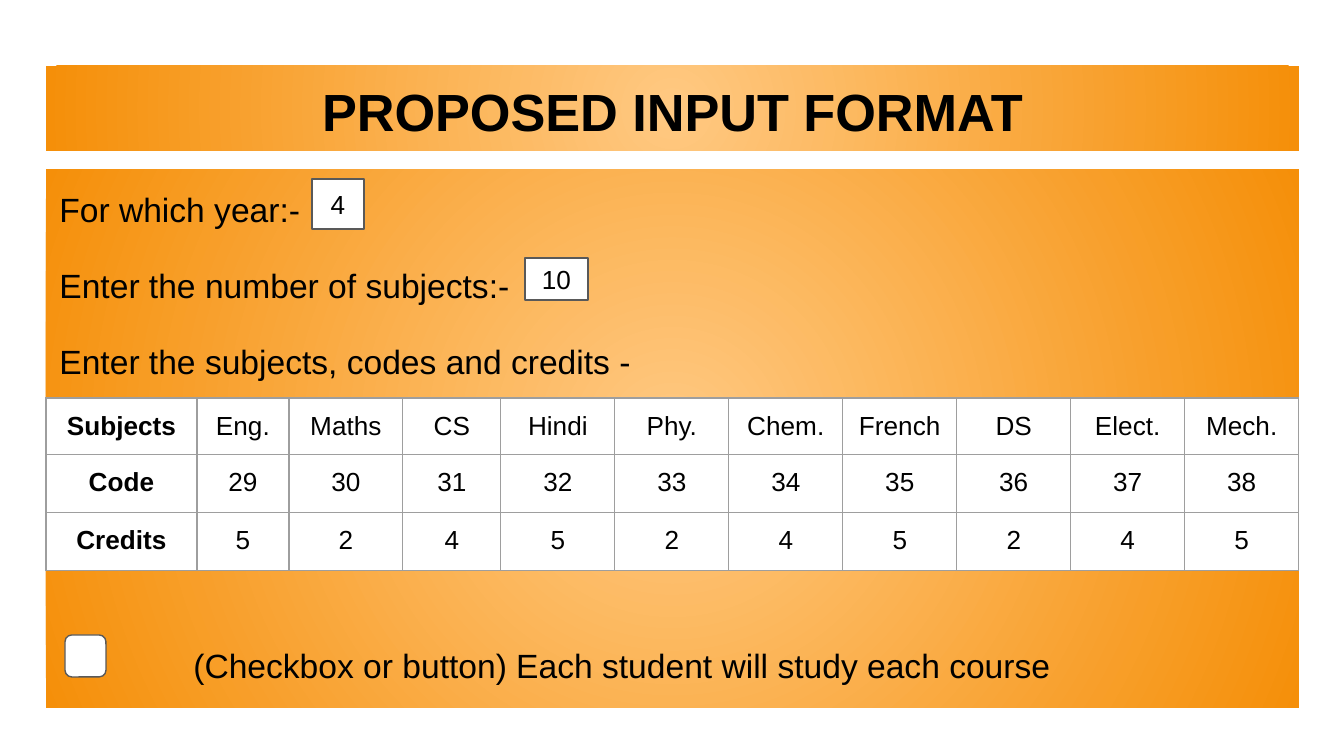
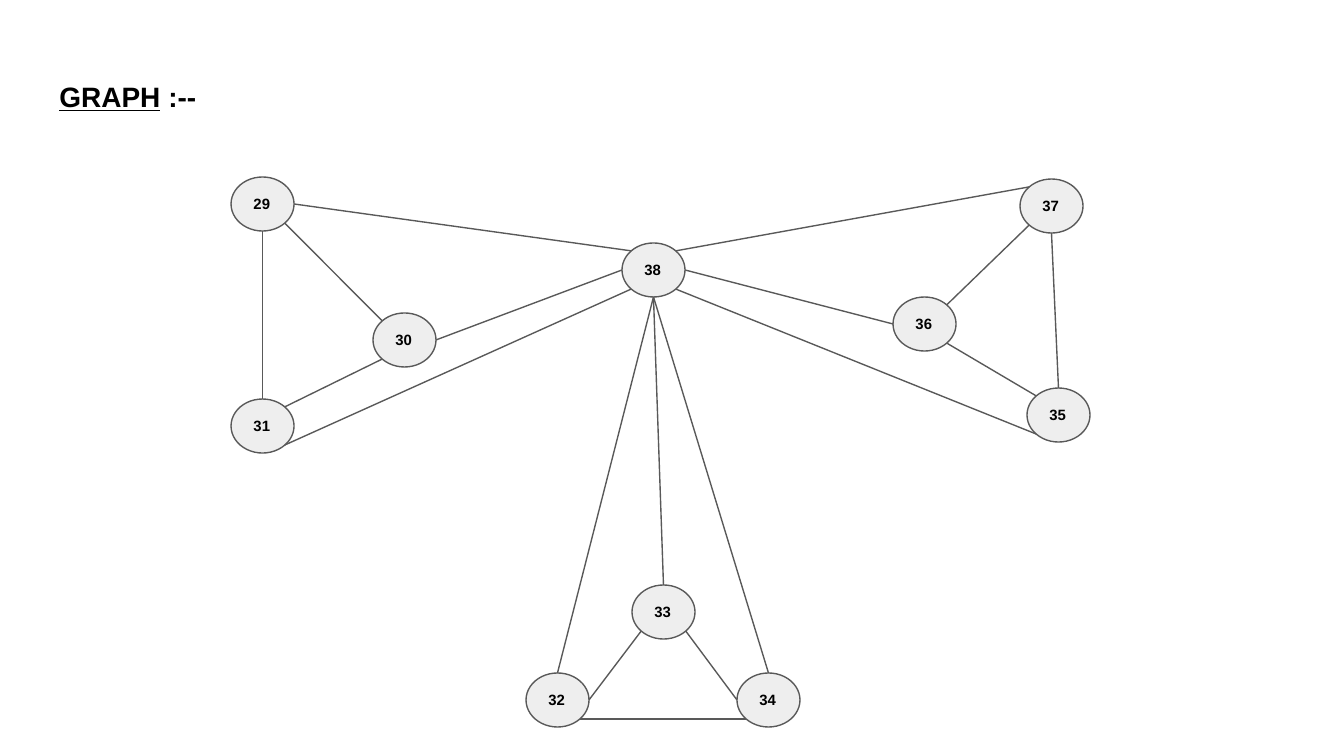
import pptx
import pptx.util
import pptx.dml.color
import pptx.enum.dml
import pptx.enum.shapes
import pptx.enum.text
import pptx.oxml
import pptx.oxml.ns
import math

# Content
FORM = {
    "title": "PROPOSED INPUT FORMAT",
    # text, space before (pt), left indent (px)
    "lines": [
        ("For which year:-", 0, 0),
        ("Enter the number of subjects:-", 16, 0),
        ("Enter the subjects, codes and credits -", 16, 0),
        ("(Checkbox or button) Each student will study each course", 138, 134),
    ],
    "inputs": [("4", (312, 179, 52, 50)), ("10", (525, 258, 63, 42))],
    "check": (65, 635, 41, 42),
}
ROWS = [
    ["Subjects", "Eng.", "Maths", "CS", "Hindi", "Phy.", "Chem.", "French",
     "DS", "Elect.", "Mech."],
    ["Code"] + [str(code) for code in range(29, 39)],
    ["Credits", "5", "2", "4", "5", "2", "4", "5", "2", "4", "5"],
]
COLS = [151, 92, 114, 98] + [114] * 7
HIGHS = [56, 58, 58]

GRAPH = [("GRAPH", True), (" :--", False)]
NODES = {
    "38": (622, 243), "37": (1020, 179), "29": (231, 177), "30": (373, 313),
    "36": (893, 297), "31": (231, 399), "35": (1027, 388), "33": (632, 585),
    "34": (737, 673), "32": (526, 673),
}
# Each edge: node, side, node, side
EDGES = [
    "29 se 30 nw", "30 sw 31 ne", "29 s 31 n", "38 s 33 n", "37 sw 36 ne",
    "37 s 35 n", "36 se 35 nw", "33 se 34 w", "33 sw 32 e", "32 se 34 sw",
    "38 s 34 n", "38 s 32 n", "38 se 35 sw", "38 ne 37 nw", "38 e 36 w",
    "29 e 38 nw", "30 e 38 w", "38 sw 31 se",
]

# Shared look
HUES = {"ink": "000000", "paper": "FFFFFF", "line": "595959", "grid": "9E9E9E",
        "node": "EEEEEE", "glow": "FFC982", "edge": "F58F09"}
FONT = "Arial"
SCALE = 914400 / 134.4
WIDE, HIGH = 1344, 756
HEAD = (46, 66, 1253, 85)
BODY = (46, 169, 1253, 539)
GRID = (46, 398)
NODE = (63, 54)
INSET = pptx.util.Inches(0.1)
THIN = pptx.util.Pt(0.75)
SIDES = {name: math.radians(45 * i) for i, name in
         enumerate(["e", "se", "s", "sw", "w", "nw", "n", "ne"])}
ALIGN = pptx.enum.text.PP_ALIGN
ANCHOR = pptx.enum.text.MSO_ANCHOR
SHAPE = pptx.enum.shapes.MSO_SHAPE
NS = pptx.oxml.ns.nsdecls("a")
qn = pptx.oxml.ns.qn


def px(num):
    return pptx.util.Emu(round(num * SCALE))


def hue(name):
    return pptx.dml.color.RGBColor.from_string(HUES[name])


def xml(text):
    return pptx.oxml.parse_xml(text)


def write(para, text, size=14, bold=False, align=ALIGN.LEFT):
    """Fill a paragraph with a string or with (text, underline) parts."""
    para.alignment = align
    for part, under in [(text, False)] if isinstance(text, str) else text:
        run = para.add_run()
        run.text = part
        font = run.font
        font.name, font.size, font.bold = FONT, pptx.util.Pt(size), bold
        font.underline = under
        font.color.rgb = hue("ink")


def frame(shape, anchor=ANCHOR.MIDDLE):
    box = shape.text_frame
    box.word_wrap = True
    box.auto_size = pptx.enum.text.MSO_AUTO_SIZE.NONE
    box.vertical_anchor = anchor
    box.margin_left = box.margin_right = INSET
    box.margin_top = box.margin_bottom = INSET
    return box


def place(shape, spot):
    shape.left, shape.top, shape.width, shape.height = map(px, spot)


def glow(shape):
    """Radial fill, light in the centre."""
    shape.fill.gradient()
    for stop, name in zip(shape.fill.gradient_stops, ("glow", "edge")):
        stop.color.rgb = hue(name)
    grad = shape._element.spPr.find(qn("a:gradFill"))
    lin = grad.find(qn("a:lin"))
    grad.replace(lin, xml(
        f'<a:path {NS} path="circle"><a:fillToRect l="50000" t="50000" '
        'r="50000" b="50000"/></a:path>'))


def head(slide, text, size, align=ALIGN.LEFT):
    title = slide.shapes.title
    place(title, HEAD)
    write(frame(title, ANCHOR.TOP).paragraphs[0], text, size=size, bold=True,
          align=align)
    return title


def draw(slide, kind, spot, fill="paper"):
    shape = slide.shapes.add_shape(kind, *map(px, spot))
    shape.shadow.inherit = False
    shape.fill.solid()
    shape.fill.fore_color.rgb = hue(fill)
    shape.line.color.rgb = hue("line")
    shape.line.width = THIN
    return shape


def table(slide):
    grid = slide.shapes.add_table(
        len(ROWS), len(COLS), *map(px, (*GRID, sum(COLS), sum(HIGHS)))).table
    grid.first_row = grid.horz_banding = False
    for col, wide in zip(grid.columns, COLS):
        col.width = px(wide)
    for row, high, texts in zip(grid.rows, HIGHS, ROWS):
        row.height = px(high)
        for i, (cell, text) in enumerate(zip(row.cells, texts)):
            cell.margin_left = cell.margin_right = INSET
            cell.margin_top = cell.margin_bottom = INSET
            cell.fill.solid()
            cell.fill.fore_color.rgb = hue("paper")
            write(cell.text_frame.paragraphs[0], text, bold=i == 0,
                  align=ALIGN.CENTER)
            props = cell._tc.get_or_add_tcPr()
            for n, side in enumerate("LRTB"):
                props.insert(n, xml(
                    f'<a:ln{side} {NS} w="{THIN}"><a:solidFill><a:srgbClr '
                    f'val="{HUES["grid"]}"/></a:solidFill></a:ln{side}>'))


def form(deck):
    slide = deck.slides.add_slide(deck.slide_layouts[1])
    glow(head(slide, FORM["title"], 28, ALIGN.CENTER))

    # Prompts
    body = slide.placeholders[1]
    place(body, BODY)
    glow(body)
    box = frame(body, ANCHOR.TOP)
    for i, (text, gap, dent) in enumerate(FORM["lines"]):
        para = box.add_paragraph() if i else box.paragraphs[0]
        props = para._p.get_or_add_pPr()
        props.set("marL", str(px(dent)))
        props.set("indent", "0")
        props.append(xml(f"<a:buNone {NS}/>"))
        para.line_spacing = 1.15
        para.space_before = pptx.util.Pt(gap)
        para.space_after = pptx.util.Pt(0)
        write(para, text, size=18)

    # Input boxes, table and checkbox
    for text, spot in FORM["inputs"]:
        box = frame(draw(slide, SHAPE.RECTANGLE, spot))
        write(box.paragraphs[0], text, align=ALIGN.CENTER)
    table(slide)
    draw(slide, SHAPE.ROUNDED_RECTANGLE, FORM["check"])


def rim(name, side):
    """Point on a node's outline at a compass side."""
    turn = SIDES[side]
    return [px(at + size / 2 * (1 + part)) for at, size, part in
            zip(NODES[name], NODE, (math.cos(turn), math.sin(turn)))]


def graph(deck):
    slide = deck.slides.add_slide(deck.slide_layouts[5])
    head(slide, GRAPH, 15)
    for name, spot in NODES.items():
        node = draw(slide, SHAPE.OVAL, (*spot, *NODE), "node")
        write(frame(node).paragraphs[0], name, size=8, bold=True)
    for edge in EDGES:
        start, out, end, into = edge.split()
        link = slide.shapes.add_connector(
            pptx.enum.shapes.MSO_CONNECTOR.STRAIGHT,
            *rim(start, out), *rim(end, into))
        link.line.color.rgb = hue("line")
        link.line.width = THIN
        link._element.spPr.append(xml(f"<a:effectLst {NS}/>"))


def main():
    deck = pptx.Presentation()
    deck.slide_width, deck.slide_height = px(WIDE), px(HIGH)
    form(deck)
    graph(deck)
    deck.save("out.pptx")


if __name__ == "__main__":
    main()
